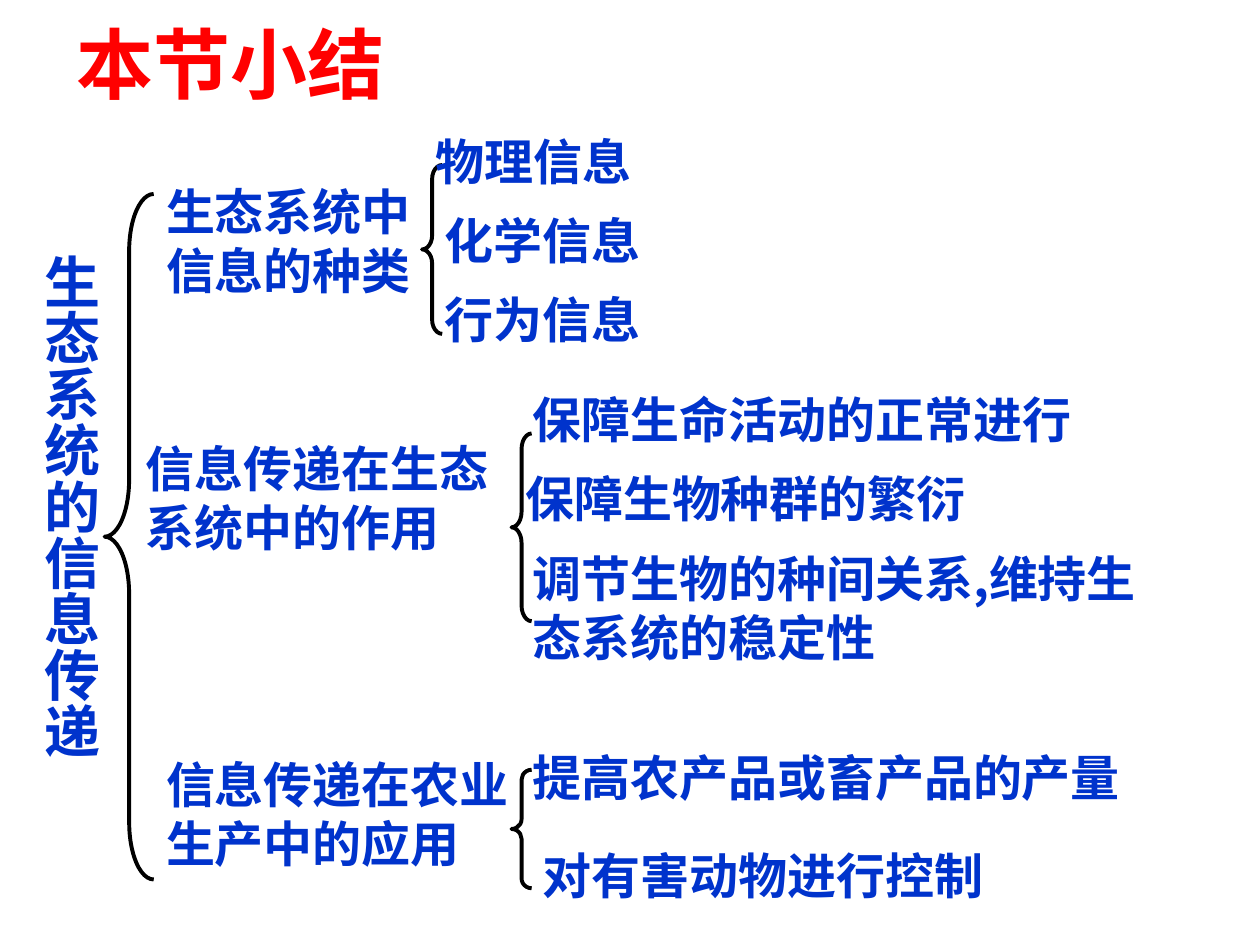
from dataclasses import dataclass
from typing import Any

from lxml import etree
from pptx import Presentation, util as u
from pptx.dml.color import RGBColor
from pptx.enum import shapes, text
from pptx.oxml.ns import qn


def color(value):
    return RGBColor.from_string(value)


@dataclass
class Summary:
    """Draws the parts of a bracketed summary on one slide."""
    s: Any
    ink: str = "0033CC"
    red: str = "FF0000"
    paper: str = "FFFFFF"
    black: str = "000000"
    font: str = "Noto Sans CJK SC"
    size: float = 28
    leading: float = 33.7

    def run(self, p, words, size, ink, font):
        r = p.add_run()
        r.text = words
        r.font.size, r.font.bold, r.font.name = u.Pt(size), True, font
        r.font.color.rgb = color(ink)
        ea = etree.SubElement(r.font._element, qn("a:ea"))
        ea.set("typeface", self.font)

    def box(self, words, x, y, w, h):
        sp = self.s.shapes.add_textbox(*map(u.Inches, (x, y, w, h)))
        tf = sp.text_frame
        tf.word_wrap = True
        return tf, words

    def title(self, words, x, y, w, h):
        tf, words = self.box(words, x, y, w, h)
        tf.vertical_anchor = text.MSO_ANCHOR.MIDDLE
        self.run(tf.paragraphs[0], words, 44, self.red, "Arial")

    def label(self, words, x, y, w, lines=1):
        tf, words = self.box(words, x, y, w, 0.1 + 0.47 * lines)
        p = tf.paragraphs[0]
        p.line_spacing = u.Pt(self.leading)
        self.run(p, words, self.size, self.ink, self.font)

    def vertical(self, words, x, y, w, h):
        sp = self.s.shapes.add_shape(shapes.MSO_SHAPE.RECTANGLE, *map(u.Inches, (x, y, w, h)))
        sp.shadow.inherit = False
        sp.fill.solid()
        sp.fill.fore_color.rgb = sp.line.color.rgb = color(self.paper)
        sp.line.width = u.Pt(0.75)
        tf = sp.text_frame
        tf.margin_left = tf.margin_right = tf.margin_top = tf.margin_bottom = 0
        tf.vertical_anchor = text.MSO_ANCHOR.TOP
        tf._txBody.bodyPr.set("vert", "eaVert")
        p = tf.paragraphs[0]
        p.alignment = text.PP_ALIGN.JUSTIFY
        self.run(p, words, 32, self.ink, "Times New Roman")

    def brace(self, x, y, w, h):
        sp = self.s.shapes.add_shape(shapes.MSO_SHAPE.LEFT_BRACE, *map(u.Inches, (x, y, w, h)))
        sp.shadow.inherit = False
        sp.adjustments[0] = h / 12 / w
        sp.fill.background()
        sp.line.color.rgb = color(self.black)
        sp.line.width = u.Pt(2.25)


def main():
    prs = Presentation()
    prs.slide_width, prs.slide_height = u.Inches(10), u.Inches(7.5)
    page = Summary(prs.slides.add_slide(prs.slide_layouts[6]))

    page.title("本节小结", 0.51, 0, 9, 0.99)
    page.vertical("生态系统的信息传递", 0.2, 2.02, 0.63, 4.09)

    for brace in ((0.83, 1.54, 0.39, 5.44), (4.06, 3.44, 0.16, 1.49),
                  (4.06, 6.11, 0.16, 0.94), (3.35, 1.31, 0.16, 1.34)):
        page.brace(*brace)

    for topic in (("生态系统中信息的种类", 1.22, 1.39, 2.2),
                  ("信息传递在生态系统中的作用", 1.06, 3.43, 3.07),
                  ("信息传递在农业生产中的应用", 1.22, 5.94, 3.07)):
        page.label(*topic, lines=2)

    for detail in (("物理信息", 3.36, 0.99, 4.16),
                   ("化学信息", 3.43, 1.62, 3.23),
                   ("行为信息", 3.43, 2.25, 3.23),
                   ("保障生命活动的正常进行", 4.13, 3.04, 5.12),
                   ("保障生物种群的繁衍", 4.07, 3.67, 4.08),
                   ("调节生物的种间关系,维持生态系统的稳定性", 4.13, 4.3, 5.2, 2),
                   ("提高农产品或畜产品的产量", 4.13, 5.88, 5.04),
                   ("对有害动物进行控制", 4.21, 6.66, 4.65)):
        page.label(*detail)

    prs.save("out.pptx")


if __name__ == "__main__":
    main()
